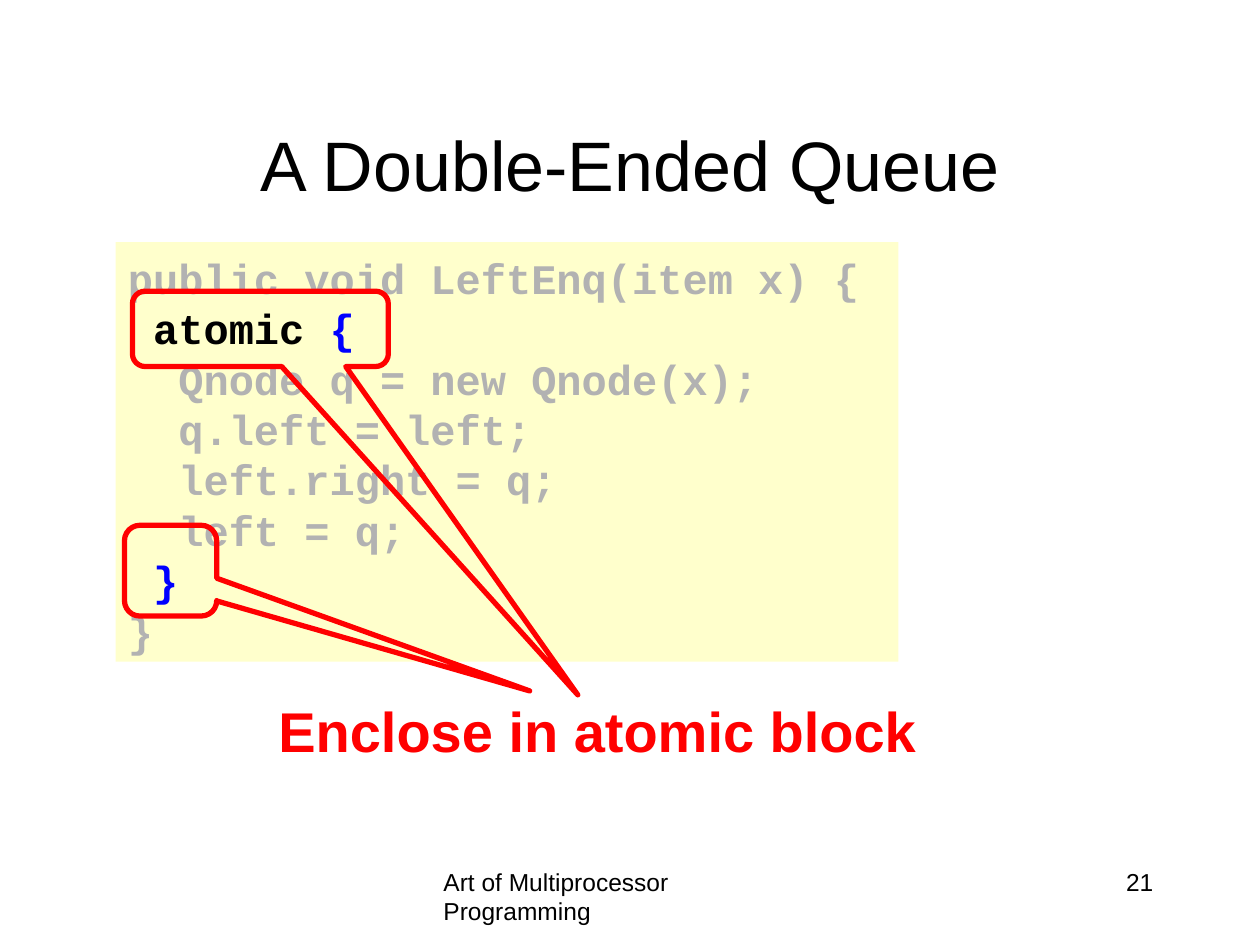
from pptx import Presentation
from pptx import util as u
from pptx.dml.color import RGBColor
from pptx.enum import shapes, text

GREY, BLUE, BLACK, RED = "B2B2B2", "0000FF", "000000", "FF0000"
CODE = [
    [("public void LeftEnq(item x) {", GREY)],
    [(" ", BLUE), ("atomic", BLACK), (" {", BLUE)],
    [("  Qnode q = new Qnode(x);", GREY)],
    [("  q.left = left;", GREY)],
    [("  left.right = q;", GREY)],
    [("  left = q;", GREY)],
    [(" }", BLUE)],
    [("}", GREY)],
]


def rgb(value):
    """Turn a hex string into a colour."""
    return RGBColor.from_string(value)


def cm(box):
    """Turn a box in centimetres into lengths."""
    return [u.Cm(v) for v in box]


def add_run(p, words, size=24, font="Arial", color=BLACK, bold=False):
    """Append a formatted run to a paragraph."""
    r = p.add_run()
    r.text = words
    r.font.size = u.Pt(size)
    r.font.name = font
    r.font.bold = bold
    r.font.color.rgb = rgb(color)


def add_label(s, box, words, align=text.PP_ALIGN.LEFT, **style):
    """Place a wrapped text box with one paragraph."""
    tf = s.shapes.add_textbox(*cm(box)).text_frame
    tf.word_wrap = True
    p = tf.paragraphs[0]
    p.alignment = align
    add_run(p, words, **style)


def add_title(s, box, words):
    """Move the title placeholder and fill it."""
    sp = s.shapes.title
    sp.left, sp.top, sp.width, sp.height = cm(box)
    tf = sp.text_frame
    tf.vertical_anchor = text.MSO_ANCHOR.MIDDLE
    p = tf.paragraphs[0]
    p.alignment = text.PP_ALIGN.CENTER
    add_run(p, words, size=40)


def add_callout(s, box, tip):
    """Outline a box with a callout whose tip is a point on the slide."""
    left, top, width, height = box
    sp = s.shapes.add_shape(
        shapes.MSO_SHAPE.ROUNDED_RECTANGULAR_CALLOUT, *cm(box))
    sp.shadow.inherit = False
    sp.fill.background()
    sp.line.color.rgb = rgb(RED)
    sp.line.width = u.Pt(3)
    sp.adjustments[0] = (tip[0] - left) / width - 0.5
    sp.adjustments[1] = (tip[1] - top) / height - 0.5
    sp.adjustments[2] = 0.17


def add_code(s, box):
    """Place the code panel with its coloured lines."""
    sp = s.shapes.add_shape(shapes.MSO_SHAPE.RECTANGLE, *cm(box))
    sp.shadow.inherit = False
    sp.fill.solid()
    sp.fill.fore_color.rgb = rgb("FFFFCC")
    sp.line.fill.background()
    tf = sp.text_frame
    tf.word_wrap = True
    tf.vertical_anchor = text.MSO_ANCHOR.BOTTOM
    for i, line in enumerate(CODE):
        p = tf.add_paragraph() if i else tf.paragraphs[0]
        p.alignment = text.PP_ALIGN.LEFT
        p.line_spacing = u.Pt(28.8)
        for words, color in line:
            add_run(p, words, font="Courier New", color=color, bold=True)


def add_explanation(s, box):
    """Place the remark and the two callouts that point to it."""
    left, top, width, height = box
    add_label(s, box, "Enclose in atomic block", text.PP_ALIGN.CENTER,
              size=32, color=RED, bold=True)
    add_callout(s, (left + 0.43, top - 3.33, 1.86, 1.83),
                (left + 8.6, top + 0.01))
    add_callout(s, (left + 0.59, top - 8.05, 5.16, 1.52),
                (left + 9.57, top + 0.09))


def add_footer(s, box):
    """Place the footer text and the slide number."""
    left, top, width, height = box
    add_label(s, (left, top, 8.05, height),
              "Art of Multiprocessor Programming", size=14)
    add_label(s, (left + width - 5.28, top, 5.28, height), "21",
              text.PP_ALIGN.RIGHT, size=14)


def main():
    """Build the slide and save it."""
    prs = Presentation()
    prs.slide_width, prs.slide_height = u.Cm(25.4), u.Cm(19.05)
    s = prs.slides.add_slide(prs.slide_layouts[5])
    add_footer(s, (8.69, 17.35, 14.81, 1.27))
    add_code(s, (2.33, 4.88, 15.78, 8.46))
    add_title(s, (1.9, 1.7, 21.6, 3.18), "A Double-Ended Queue")
    add_explanation(s, (2.08, 13.92, 19.94, 1.6))
    prs.save("out.pptx")


if __name__ == "__main__":
    main()
